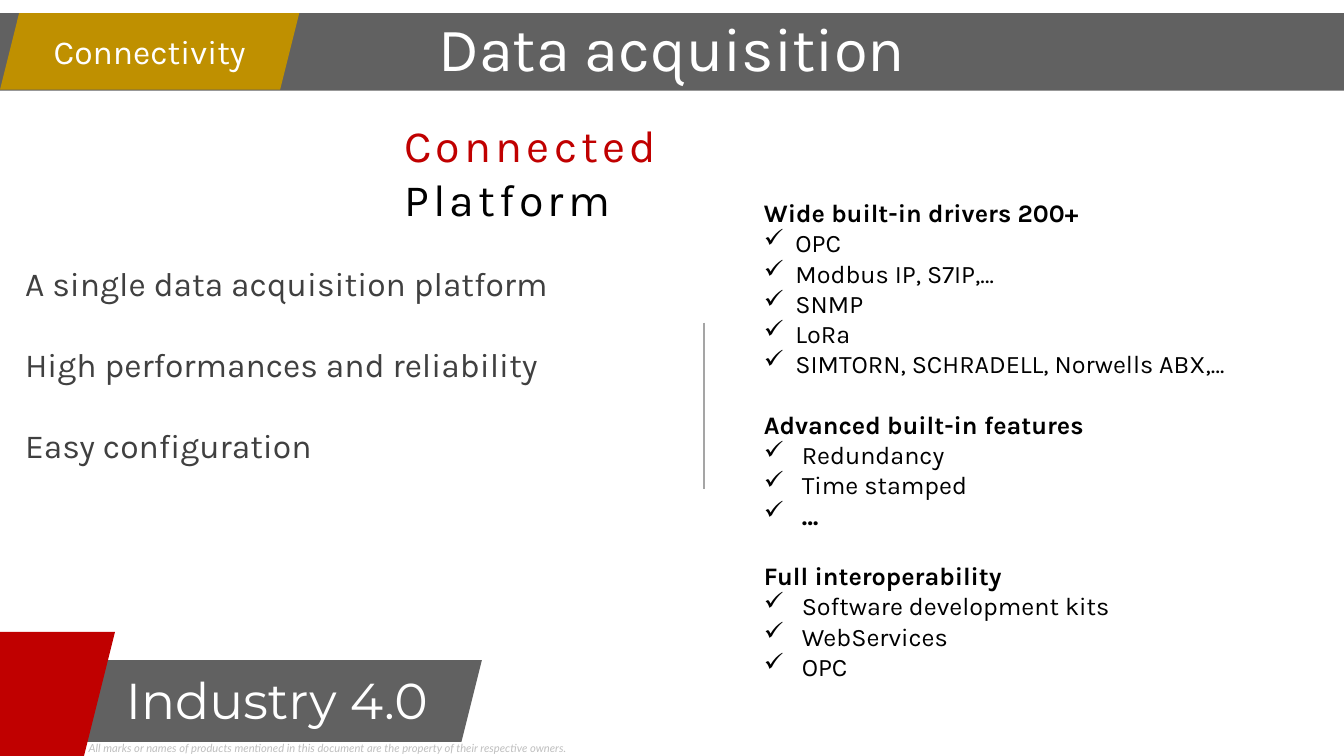
import pptx
import pptx.dml.color
import pptx.enum.shapes
import pptx.enum.text
import pptx.oxml.ns
import pptx.util
from lxml import etree

Pt = pptx.util.Pt
ALIGN = pptx.enum.text.PP_ALIGN
ANCHOR = pptx.enum.text.MSO_ANCHOR
qn = pptx.oxml.ns.qn

GREY, RED, GOLD, WHITE, BLACK = "616161", "C00000", "BF9000", "FFFFFF", "000000"
FEATURES = [
    ("Wide built-in drivers 200+", 22.5,
     ["OPC", "Modbus IP, S7IP,…", "SNMP", "LoRa", "SIMTORN, SCHRADELL, Norwells ABX,…"]),
    ("Advanced built-in features", 27, ["Redundancy", "Time stamped", "…"]),
    ("Full interoperability", 27, ["Software development kits", "WebServices", "OPC"]),
]
BENEFITS = ["A single data acquisition platform", "High performances and reliability",
            "Easy configuration"]


def rgb(hex_colour):
    return pptx.dml.color.RGBColor.from_string(hex_colour)


class SlideBuilder:
    font_name = "Karla"

    def __init__(self, slide):
        self.slide = slide

    def add_text(self, paragraph, text, colour, **formats):
        run = paragraph.add_run()
        run.text = text
        run.font.color.rgb = rgb(colour)
        for name, value in {"name": self.font_name, **formats}.items():
            setattr(run.font, name, value)
        return run

    def layout(self, paragraph, **formats):
        for name, value in formats.items():
            setattr(paragraph, name, value)

    def title(self, text, box):
        title = self.slide.shapes.title
        title.left, title.top, title.width, title.height = map(Pt, box)
        title.fill.solid()
        title.fill.fore_color.rgb = rgb(GREY)
        frame = title.text_frame
        frame.auto_size = pptx.enum.text.MSO_AUTO_SIZE.NONE
        frame.vertical_anchor = ANCHOR.MIDDLE
        self.layout(frame.paragraphs[0], alignment=ALIGN.CENTER, line_spacing=0.9)
        self.add_text(frame.paragraphs[0], text, WHITE, size=Pt(44))

    def parallelogram(self, box, colour):
        shape = self.slide.shapes.add_shape(
            pptx.enum.shapes.MSO_SHAPE.PARALLELOGRAM, *map(Pt, box))
        shape.shadow.inherit = False
        shape.fill.solid()
        shape.fill.fore_color.rgb = rgb(colour)
        shape.line.fill.background()
        return shape

    def text_box(self, box):
        frame = self.slide.shapes.add_textbox(*map(Pt, box)).text_frame
        frame.word_wrap = True
        return frame

    def label(self, box, text, colour, **formats):
        self.add_text(self.text_box(box).paragraphs[0], text, colour, **formats)

    def indent(self, paragraph, margin, hanging=0, bullet=None):
        properties = paragraph._p.get_or_add_pPr()
        properties.set("marL", str(Pt(margin)))
        properties.set("indent", str(-Pt(hanging)))
        if bullet:
            etree.SubElement(properties, qn("a:buChar")).set("char", bullet)

    def rule(self, x, top, bottom, colour):
        line = self.slide.shapes.add_connector(
            pptx.enum.shapes.MSO_CONNECTOR.STRAIGHT, Pt(x), Pt(top), Pt(x), Pt(bottom))
        line.line.color.rgb = rgb(colour)
        line.line.width = Pt(1.5)
        etree.SubElement(line._element.spPr, qn("a:effectLst"))

    def benefits(self, box, items):
        frame = self.text_box(box)
        for number, item in enumerate(items):
            paragraph = frame.add_paragraph() if number else frame.paragraphs[0]
            self.layout(paragraph, space_before=Pt(28.9 if number else 0))
            self.add_text(paragraph, item, "404040", size=Pt(24))

    def features(self, box, groups):
        frame = self.text_box(box)
        for number, (heading, hanging, items) in enumerate(groups):
            paragraph = frame.add_paragraph() if number else frame.paragraphs[0]
            self.layout(paragraph, level=1, space_before=Pt(21.6 if number else 0))
            self.indent(paragraph, 36)
            self.add_text(paragraph, heading, BLACK, size=Pt(18), bold=True)
            for item in items:
                paragraph = frame.add_paragraph()
                self.layout(paragraph, level=1)
                self.indent(paragraph, 36 + hanging, hanging, "✓")
                self.add_text(paragraph, item, BLACK, size=Pt(18), bold=item == "…")

    def slogan(self, box, words):
        """Stack the words on separate lines, each in its own colour."""
        paragraph = self.text_box(box).paragraphs[0]
        for number, (word, colour) in enumerate(words):
            if number:
                paragraph.add_line_break()
            run = self.add_text(paragraph, word, colour, size=Pt(32))
            run._r.get_or_add_rPr().set("spc", "300")

    def tag(self, box, text):
        shape = self.parallelogram(box, GOLD)
        shape.text_frame.vertical_anchor = ANCHOR.MIDDLE
        paragraph = shape.text_frame.paragraphs[0]
        self.layout(paragraph, alignment=ALIGN.CENTER)
        self.add_text(paragraph, text, WHITE, size=Pt(24))


def main():
    deck = pptx.Presentation()
    deck.slide_width, deck.slide_height = Pt(960), Pt(540)
    page = SlideBuilder(deck.slides.add_slide(deck.slide_layouts[5]))
    page.label((56.2, 526.3, 487.4, 17.3),
               "All marks or names of products mentioned in this document are the property "
               "of their respective owners.",
               "BFBFBF", name="Lato", size=Pt(8), italic=True)
    page.parallelogram((20.9, 471.6, 323.3, 58.3), GREY)
    page.parallelogram((-149, 451.4, 231.1, 206.6), RED)
    page.label((82.8, 474.5, 260.6, 51.1), "Industry 4.0", WHITE,
               name="Montserrat", size=Pt(36))
    page.title("Data acquisition", (0, 9.4, 960, 55.4))
    page.features((502.6, 137.5, 447.1, 400), FEATURES)
    page.benefits((10.8, 184.3, 470.9, 152.6), BENEFITS)
    page.slogan((281.5, 80.6, 339.1, 84), [("Connected", RED), ("Platform", BLACK)])
    page.rule(502.6, 230.4, 349.2, "A5A5A5")
    page.tag((0, 9.4, 213.8, 54.7), "Connectivity")
    deck.save("out.pptx")


if __name__ == "__main__":
    main()
